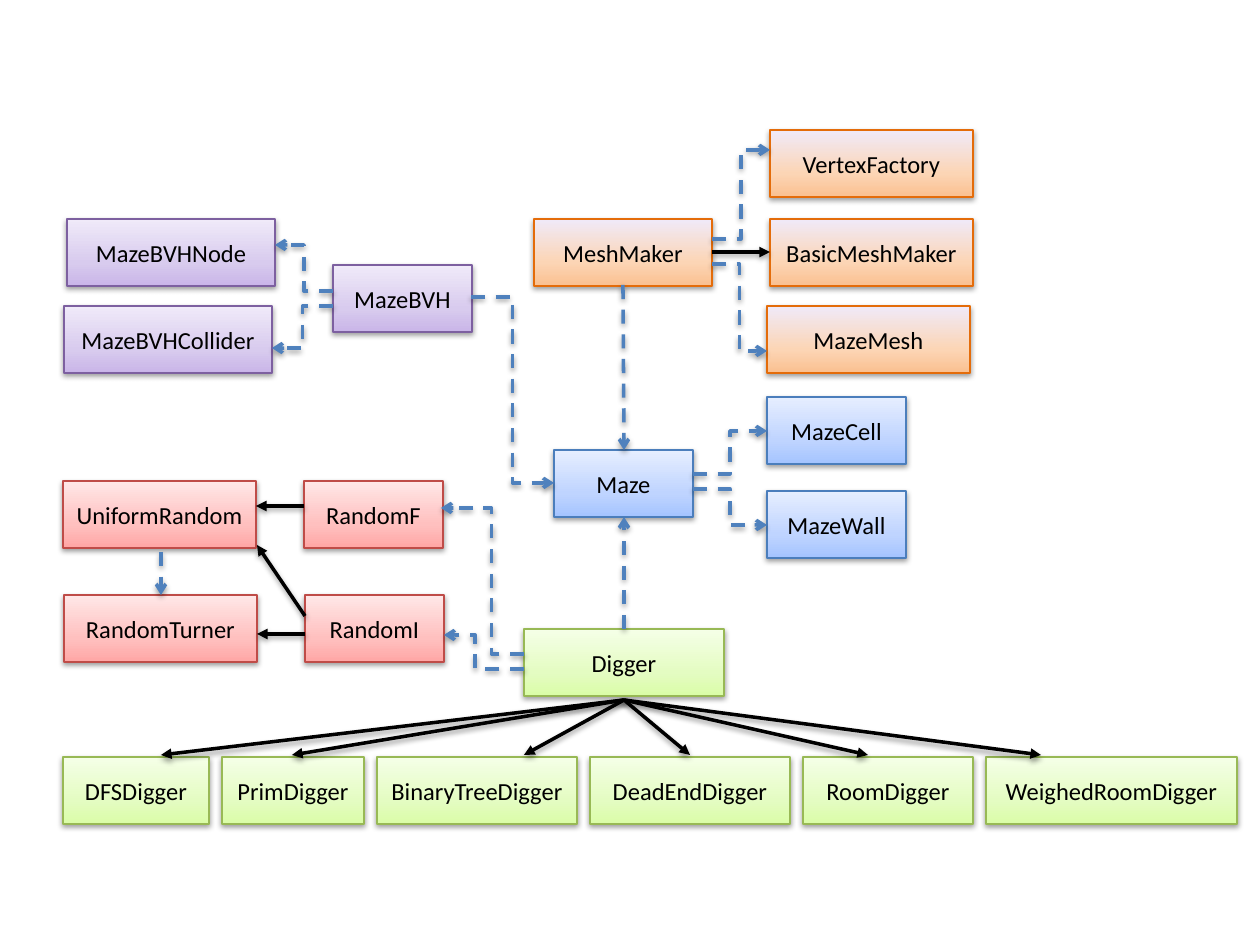
import copy

import pptx
import pptx.dml.color
import pptx.enum.dml
import pptx.enum.shapes
import pptx.enum.text
import pptx.oxml
import pptx.oxml.ns
import pptx.util

RGB = pptx.dml.color.RGBColor
qn = pptx.oxml.ns.qn
PX = 914400 / 126
BOX_HEIGHT = 67

BLACK = RGB(0x00, 0x00, 0x00)
LINK_BLUE = RGB(0x4F, 0x81, 0xBD)
# Each palette: outline, then the gradient from bottom to top
GREEN = (RGB(0x98, 0xB9, 0x55), RGB(0xDA, 0xFD, 0xA7), RGB(0xE4, 0xFC, 0xC2), RGB(0xF5, 0xFF, 0xE7))
BLUE = (RGB(0x4B, 0x7E, 0xBC), RGB(0xA4, 0xC4, 0xFF), RGB(0xBF, 0xD4, 0xFF), RGB(0xE6, 0xEE, 0xFF))
RED = (RGB(0xBF, 0x4C, 0x48), RGB(0xFF, 0xA6, 0xA5), RGB(0xFF, 0xC0, 0xBF), RGB(0xFF, 0xE7, 0xE7))
PURPLE = (RGB(0x7D, 0x60, 0xA0), RGB(0xC9, 0xB5, 0xE8), RGB(0xD8, 0xCB, 0xEE), RGB(0xF0, 0xEA, 0xF9))
ORANGE = (RGB(0xE4, 0x6C, 0x0A), RGB(0xFA, 0xC0, 0x90), RGB(0xFC, 0xD5, 0xB5), RGB(0xF0, 0xEA, 0xF9))
STOPS = (0, 0.35, 1)

# name, left, top, width, palette
CLASSES = [
    ("Digger", 524, 629, 200, GREEN),
    ("Maze", 554, 450, 139, BLUE),
    ("MazeCell", 767, 397, 139, BLUE),
    ("MazeWall", 767, 491, 139, BLUE),
    ("RandomF", 304, 481, 139, RED),
    ("RandomI", 305, 595, 139, RED),
    ("UniformRandom", 63, 481, 193, RED),
    ("RandomTurner", 64, 595, 193, RED),
    ("MazeBVH", 333, 265, 139, PURPLE),
    ("MazeBVHNode", 67, 219, 208, PURPLE),
    ("MazeBVHCollider", 64, 306, 208, PURPLE),
    ("MeshMaker", 534, 219, 178, ORANGE),
    ("BasicMeshMaker", 770, 219, 203, ORANGE),
    ("MazeMesh", 767, 306, 203, ORANGE),
    ("VertexFactory", 770, 130, 203, ORANGE),
]

# name, width, x of the inheritance arrowhead
DIGGERS = [
    ("DFSDigger", 146, 161),
    ("PrimDigger", 142, 292),
    ("BinaryTreeDigger", 200, 524),
    ("DeadEndDigger", 200, 690),
    ("RoomDigger", 170, 868),
    ("WeighedRoomDigger", 251, 1041),
]
DIGGER_LEFT, DIGGER_TOP, DIGGER_GAP = 63, 757, 13
FAN_START, FAN_END_Y = (624, 700), 755

INHERITANCE = [
    ((304, 506), (256, 506)),
    ((305, 634), (257, 634)),
    ((305, 616), (257, 545)),
    ((712, 252), (770, 252)),
]

STRAIGHT_USES = [
    ((161, 552), (161, 595)),
    ((624, 629), (624, 517)),
    ((623, 285), (624, 450)),
]

# start, end, share of the width at which the link bends
BENT_USES = [
    ((693, 474), (767, 431), 0.5),
    ((693, 489), (767, 525), 0.5),
    ((524, 654), (441, 508), 0.39),
    ((524, 669), (444, 635), 0.61),
    ((712, 239), (770, 150), 0.5),
    ((712, 264), (767, 351), 0.5),
    ((471, 297), (554, 483), 0.5),
    ((333, 306), (272, 348), 0.5),
    ((333, 291), (275, 245), 0.5),
]


def px(value):
    return pptx.util.Emu(round(value * PX))


def add_shadow(item):
    """Append a soft drop shadow; call it after fill and line are set."""
    item._element.spPr.append(pptx.oxml.parse_xml(
        f'<a:effectLst {pptx.oxml.ns.nsdecls("a")}>'
        '<a:outerShdw blurRad="40000" dist="20000" dir="5400000" rotWithShape="0">'
        '<a:srgbClr val="000000"><a:alpha val="38000"/></a:srgbClr>'
        '</a:outerShdw></a:effectLst>'))


def fill_gradient(shape, colors):
    shape.fill.gradient()
    shape.fill.gradient_angle = 90
    stop_list = shape._element.spPr.find(".//" + qn("a:gsLst"))
    stop_list.append(copy.deepcopy(stop_list[-1]))
    for stop, position, color in zip(shape.fill.gradient_stops, STOPS, colors):
        stop.position = position
        stop.color.rgb = color


def add_class_box(page, name, left, top, width, palette):
    outline, *colors = palette
    box = page.shapes.add_shape(
        pptx.enum.shapes.MSO_SHAPE.RECTANGLE,
        px(left), px(top), px(width), px(BOX_HEIGHT))
    fill_gradient(box, colors)
    box.line.color.rgb = outline
    box.line.width = pptx.util.Pt(0.75)
    add_shadow(box)
    frame = box.text_frame
    frame.word_wrap = False
    frame.vertical_anchor = pptx.enum.text.MSO_ANCHOR.MIDDLE
    para = frame.paragraphs[0]
    para.alignment = pptx.enum.text.PP_ALIGN.CENTER
    span = para.add_run()
    span.text = name
    span.font.name = "Calibri"
    span.font.size = pptx.util.Pt(14)
    span.font.color.rgb = BLACK


def add_arrow(page, start, end, color, head, bend=None):
    """Draw a straight arrow, or an elbow one when bend is given."""
    kinds = pptx.enum.shapes.MSO_CONNECTOR
    kind = kinds.STRAIGHT if bend is None else kinds.ELBOW
    arrow = page.shapes.add_connector(kind, *map(px, start + end))
    if bend is not None:
        guides = arrow._element.spPr.find(".//" + qn("a:avLst"))
        guide = guides.makeelement(
            qn("a:gd"), {"name": "adj1", "fmla": f"val {round(bend * 100000)}"})
        guides.append(guide)
    arrow.line.color.rgb = color
    arrow.line.width = pptx.util.Pt(2)
    outline = arrow.line._get_or_add_ln()
    outline.append(outline.makeelement(qn("a:tailEnd"), {"type": head}))
    add_shadow(arrow)
    return arrow


def add_inheritance(page, start, end):
    add_arrow(page, start, end, BLACK, "triangle")


def add_use(page, start, end, bend=None):
    arrow = add_arrow(page, start, end, LINK_BLUE, "arrow", bend)
    arrow.line.dash_style = pptx.enum.dml.MSO_LINE.DASH


def add_diggers(page):
    left = DIGGER_LEFT
    for name, width, arrow_x in DIGGERS:
        add_class_box(page, name, left, DIGGER_TOP, width, GREEN)
        add_inheritance(page, FAN_START, (arrow_x, FAN_END_Y))
        left += width + DIGGER_GAP


def main():
    deck = pptx.Presentation()
    deck.slide_width, deck.slide_height = px(1260), px(945)
    page = deck.slides.add_slide(deck.slide_layouts[6])
    for entry in CLASSES:
        add_class_box(page, *entry)
    add_diggers(page)
    for link in INHERITANCE:
        add_inheritance(page, *link)
    for link in STRAIGHT_USES + BENT_USES:
        add_use(page, *link)
    deck.save("out.pptx")


if __name__ == "__main__":
    main()
